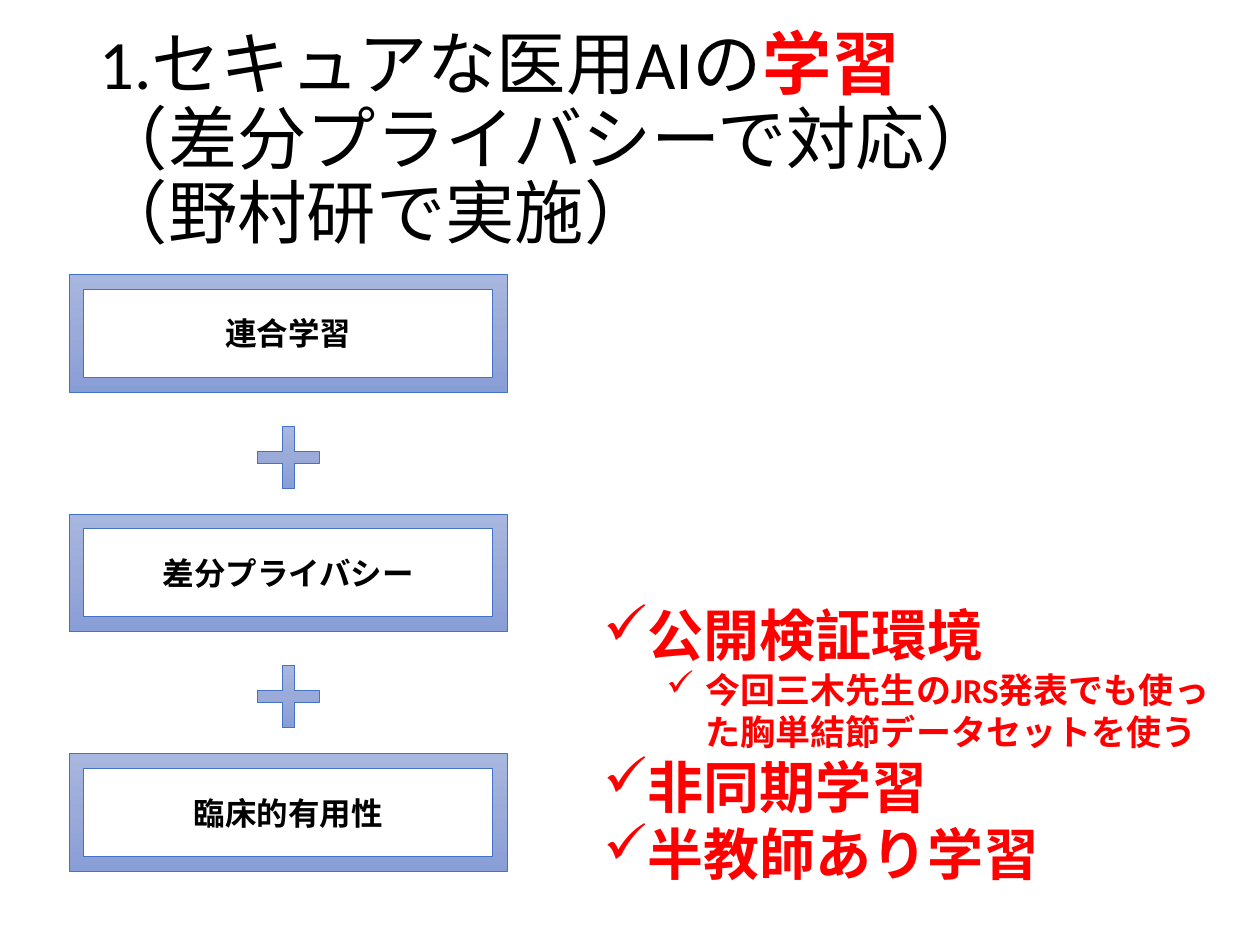
from copy import deepcopy

from lxml import etree
from pptx import Presentation
from pptx.dml.color import RGBColor
from pptx.enum.shapes import MSO_SHAPE
from pptx.enum.text import MSO_ANCHOR, MSO_AUTO_SIZE, PP_ALIGN
from pptx.oxml.ns import qn
from pptx.util import Pt

FRAME, PLUS = MSO_SHAPE.FRAME, MSO_SHAPE.CROSS
MIDDLE, CENTER = MSO_ANCHOR.MIDDLE, PP_ALIGN.CENTER
GROW = MSO_AUTO_SIZE.SHAPE_TO_FIT_TEXT

THEME = {
    "font": "Calibri",
    "black": RGBColor.from_string("000000"),
    "red": RGBColor.from_string("FF0000"),
    "line": RGBColor.from_string("4472C4"),
    "shades": ["A8B7DF", "9AABD9", "889ED7"],
    "title": 39.6, "box": 18, "point": 32, "detail": 20,
}


def add_run(para, text, size, color, bold):
    run = para.add_run()
    run.text = text
    font = run.font
    font.name, font.size, font.bold = THEME["font"], Pt(THEME[size]), bold
    font.color.rgb = THEME[color]


def add_block(kind, left, top, width, height):
    """Add a shape with the downward blue gradient and a thin outline."""
    block = slide.shapes.add_shape(kind, Pt(left), Pt(top), Pt(width), Pt(height))
    block.shadow.inherit = False
    block.fill.gradient()
    block.fill.gradient_angle = 270
    first = block.fill._fill._gradFill.find(qn("a:gsLst"))[0]
    first.addnext(deepcopy(first))
    for i, stop in enumerate(block.fill.gradient_stops):
        stop.position = i / 2
        stop.color.rgb = RGBColor.from_string(THEME["shades"][i])
    block.line.color.rgb = THEME["line"]
    block.line.width = Pt(0.5)
    return block


prs = Presentation()
prs.slide_width, prs.slide_height = Pt(720), Pt(540)
slide = prs.slides.add_slide(prs.slide_layouts[6])

# Title
title = slide.shapes.add_textbox(Pt(49.5), Pt(28.75), Pt(621), Pt(104.4)).text_frame
title.word_wrap = True
title.vertical_anchor = MIDDLE
para = title.paragraphs[0]
para.line_spacing = 0.9
add_run(para, "1.セキュアな医用AIの", "title", "black", False)
add_run(para, "学習", "title", "red", True)
for line in ["（差分プライバシーで対応）", "（野村研で実施）"]:
    para.add_line_break()
    add_run(para, line, "title", "black", False)

# Framed boxes, with a plus sign between each pair
left, top, width, height, step = 39.4, 157, 250.6, 67, 136.9
side = 35.3
labels = ["連合学習", "差分プライバシー", "臨床的有用性"]
for i, label in enumerate(labels):
    y = top + i * step
    box = add_block(FRAME, left, y, width, height).text_frame
    box.word_wrap = True
    box.vertical_anchor = MIDDLE
    para = box.paragraphs[0]
    para.alignment = CENTER
    add_run(para, label, "box", "black", True)
    if i < len(labels) - 1:
        plus = add_block(PLUS, left + (width - side) / 2, y + 86.6, side, side)
        plus.adjustments[0] = 0.4

# Checklist
points = [
    (0, "公開検証環境"),
    (1, "今回三木先生のJRS発表でも使った胸単結節データセットを使う"),
    (0, "非同期学習"),
    (0, "半教師あり学習"),
]
checks = slide.shapes.add_textbox(Pt(337.7), Pt(339.8), Pt(372.2), Pt(172)).text_frame
checks.word_wrap = True
checks.auto_size = GROW
for i, (level, text) in enumerate(points):
    para = checks.add_paragraph() if i else checks.paragraphs[0]
    para.level = level
    props = para._p.get_or_add_pPr()
    props.set("marL", str(Pt(22.5 + 36 * level)))
    props.set("indent", str(Pt(-22.5)))
    etree.SubElement(props, qn("a:buChar")).set("char", "✓")
    add_run(para, text, "detail" if level else "point", "red", True)

prs.save("out.pptx")
